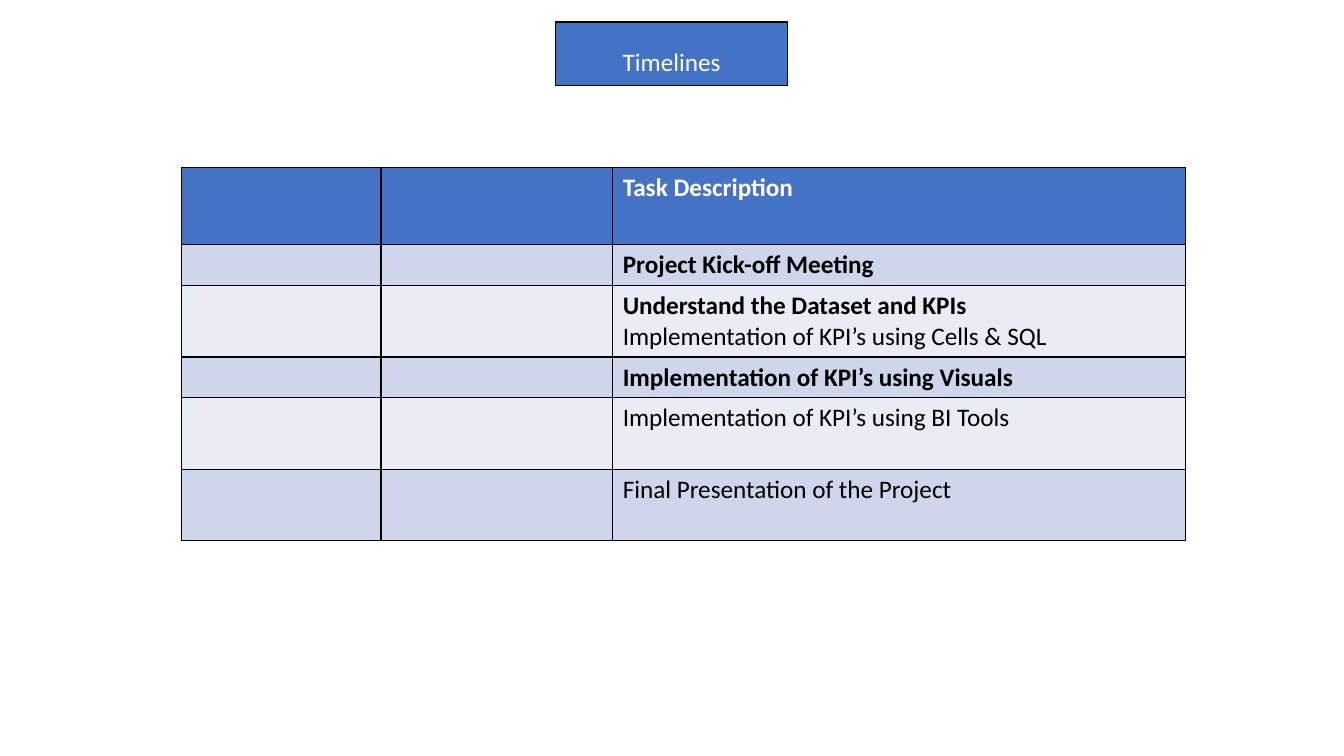
"""Build the project timelines slide."""
from lxml import etree
from pptx import Presentation
from pptx.dml.color import RGBColor
from pptx.enum.text import MSO_ANCHOR, MSO_AUTO_SIZE, PP_ALIGN
from pptx.oxml.ns import qn
from pptx.util import Cm, Pt

CENTER, LEFT = PP_ALIGN.CENTER, PP_ALIGN.LEFT
MIDDLE = MSO_ANCHOR.MIDDLE
NO_AUTOFIT = MSO_AUTO_SIZE.NONE
BLUE = RGBColor(0x44, 0x72, 0xC4)
BAND_DARK = RGBColor(0xCF, 0xD5, 0xEA)
BAND_LIGHT = RGBColor(0xE9, 0xEB, 0xF5)
BLACK = RGBColor(0, 0, 0)
WHITE = RGBColor(0xFF, 0xFF, 0xFF)
TITLE_ONLY = 5

COL_WIDTHS = [5.03, 5.84, 14.43]
TASKS = [
    (1.94, [("Task Description", True)]),
    (1.03, [("Project Kick-off Meeting", True)]),
    (1.8, [("Understand the Dataset and KPIs", True),
           ("Implementation of KPI’s using Cells & SQL", False)]),
    (1.03, [("Implementation of KPI’s using Visuals", True)]),
    (1.8, [("Implementation of KPI’s using BI Tools", False)]),
    (1.8, [("Final Presentation of the Project", False)]),
]


def write(p, text, font="Calibri", size=18, color=BLACK, bold=False, align=LEFT, spacing=1.0):
    p.alignment = align
    p.line_spacing = spacing
    r = p.add_run()
    r.text = text
    r.font.name = font
    r.font.size = Pt(size)
    r.font.bold = bold
    r.font.color.rgb = color


class Deck:
    def __init__(self):
        self.prs = Presentation()
        self.prs.slide_width, self.prs.slide_height = Cm(33.87), Cm(19.05)
        self.s = self.prs.slides.add_slide(self.prs.slide_layouts[TITLE_ONLY])
        self.border = BLACK

    def title(self, text, x, y, w, h):
        sp = self.s.shapes.title
        sp.left, sp.top, sp.width, sp.height = Cm(x), Cm(y), Cm(w), Cm(h)
        sp.fill.solid()
        sp.fill.fore_color.rgb = BLUE
        sp.line.color.rgb = self.border
        sp.line.width = Pt(1)
        tf = sp.text_frame
        tf.auto_size = NO_AUTOFIT
        tf.vertical_anchor = MIDDLE
        write(tf.paragraphs[0], text, color=WHITE, align=CENTER, spacing=1.5)

    def style_cell(self, cell, fill):
        tcPr = cell._tc.get_or_add_tcPr()
        for side in ("a:lnL", "a:lnR", "a:lnT", "a:lnB"):
            ln = etree.SubElement(tcPr, qn(side), w=str(Pt(1)))
            solid = etree.SubElement(ln, qn("a:solidFill"))
            etree.SubElement(solid, qn("a:srgbClr"), val=str(self.border))
        cell.fill.solid()
        cell.fill.fore_color.rgb = fill

    def table(self, tasks, widths, x, y):
        heights = [height for height, _ in tasks]
        frame = self.s.shapes.add_table(len(tasks), len(widths), Cm(x), Cm(y),
                                        Cm(sum(widths)), Cm(sum(heights)))
        table = frame.table
        for column, width in zip(table.columns, widths):
            column.width = Cm(width)
        for i, (height, lines) in enumerate(tasks):
            row = table.rows[i]
            row.height = Cm(height)
            fill = BLUE if i == 0 else BAND_DARK if i % 2 else BAND_LIGHT
            for cell in row.cells:
                self.style_cell(cell, fill)
            tf = table.cell(i, len(widths) - 1).text_frame
            for n, (text, bold) in enumerate(lines):
                p = tf.add_paragraph() if n else tf.paragraphs[0]
                write(p, text, bold=bold, color=BLACK if i else WHITE)


def main():
    deck = Deck()
    deck.title("Timelines", 14, 0.55, 5.85, 1.6)
    deck.table(TASKS, COL_WIDTHS, 4.57, 4.22)
    deck.prs.save("out.pptx")


if __name__ == "__main__":
    main()
